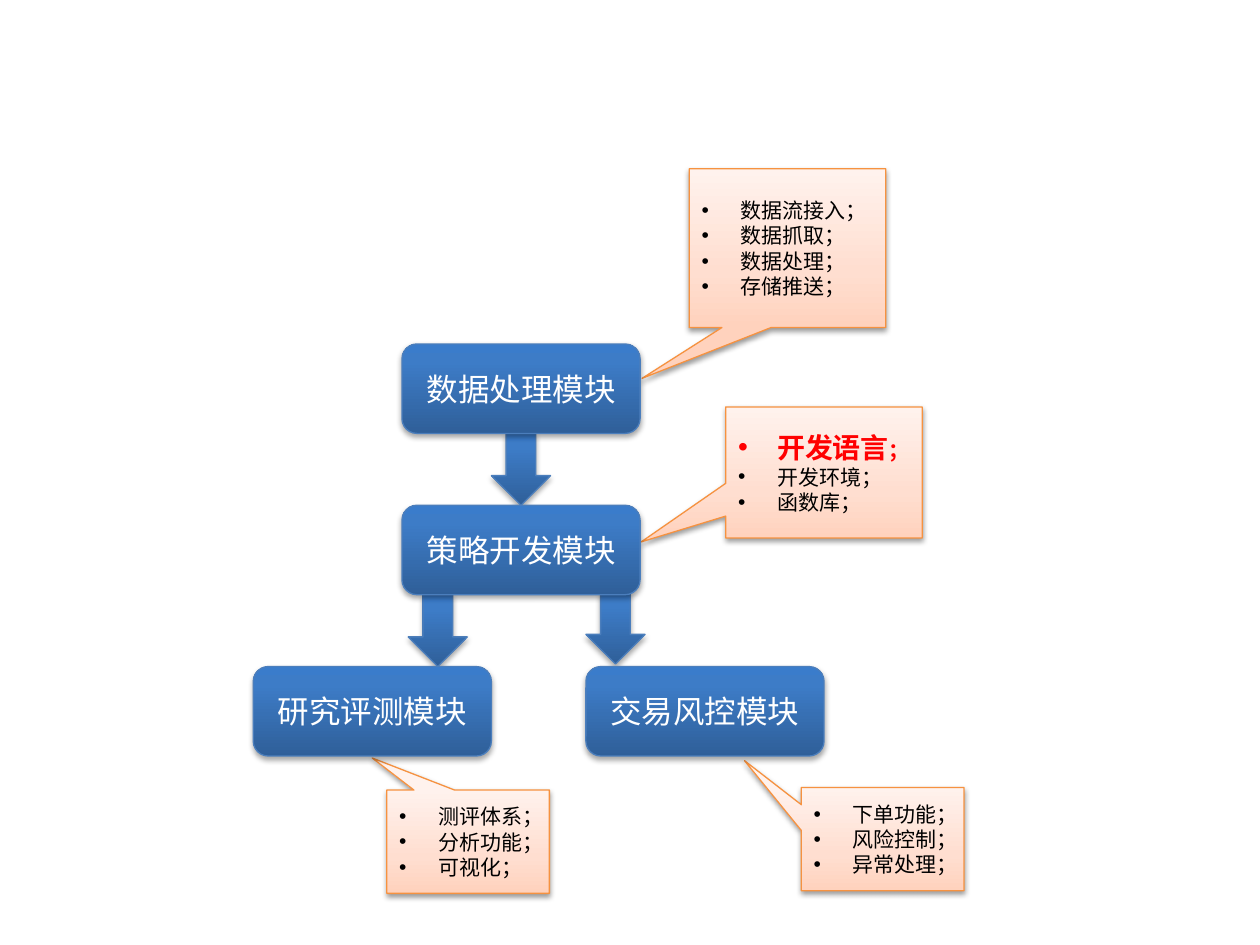
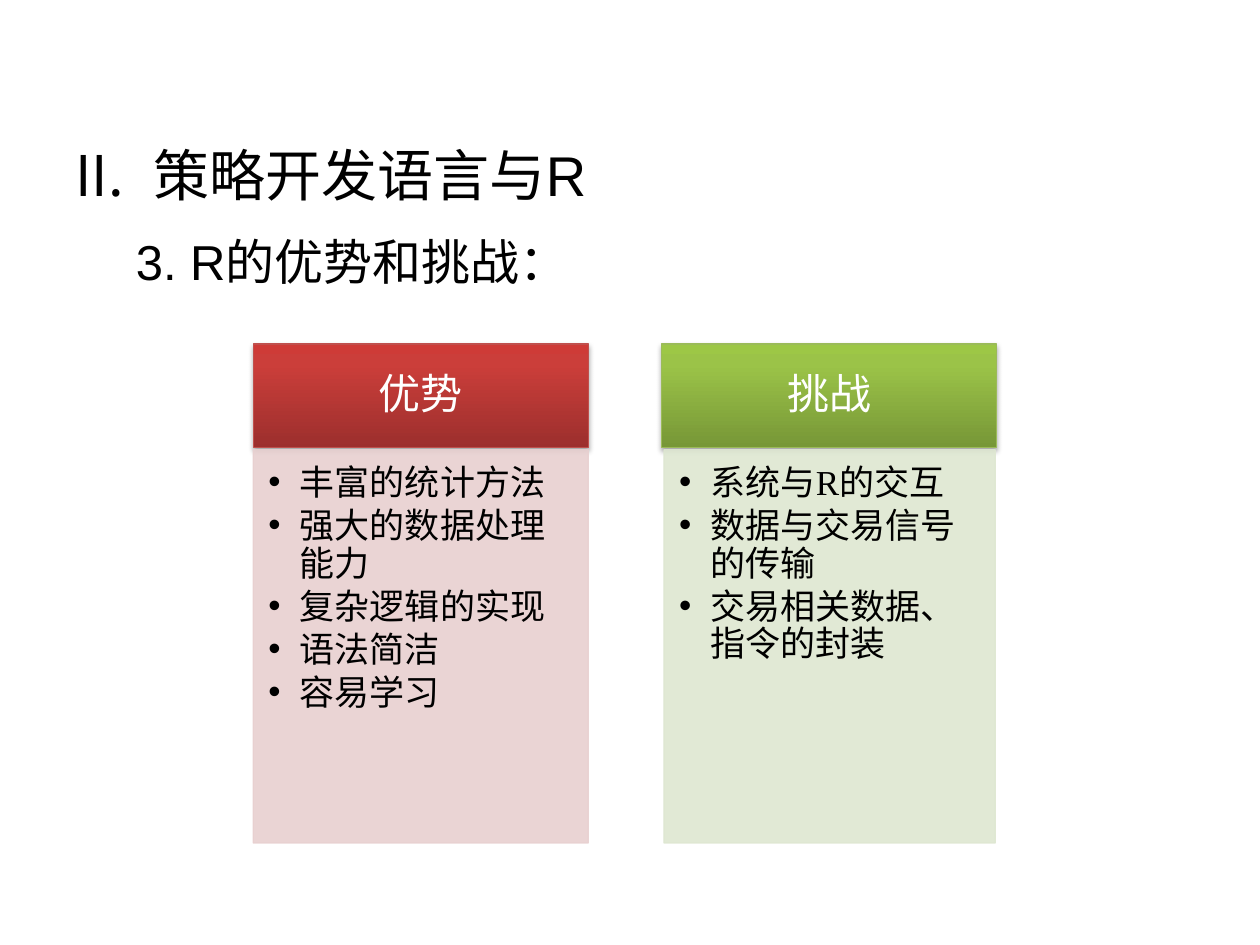
from copy import deepcopy
from dataclasses import dataclass
from typing import Any

from lxml.etree import SubElement
from pptx import Presentation
from pptx.dml.color import RGBColor
from pptx.enum.shapes import MSO_SHAPE
from pptx.enum.text import MSO_ANCHOR, PP_ALIGN
from pptx.oxml.ns import qn
from pptx.shapes.autoshape import Shape
from pptx.slide import Slide
from pptx.util import Pt

PX = 9144
SERIF, SANS = "Times New Roman", "Arial"
BLACK = RGBColor(0x00, 0x00, 0x00)
WHITE = RGBColor(0xFF, 0xFF, 0xFF)
RED = RGBColor(0xFF, 0x00, 0x00)
PINK = RGBColor(0xE8, 0xD0, 0xD0)
MINT = RGBColor(0xDE, 0xE7, 0xD1)


@dataclass(frozen=True)
class Box:
    x: int
    y: int
    w: int
    h: int


@dataclass(frozen=True)
class Look:
    stops: tuple[tuple[float, RGBColor], ...]
    edge: RGBColor
    drop: int
    shade: int


@dataclass(frozen=True)
class Note:
    box: Box
    tip: tuple[float, float]
    lines: tuple[str, ...]
    key: str = ""


@dataclass(frozen=True)
class Panel:
    head: Box
    body: Box
    look: Look
    tint: RGBColor
    title: str
    lines: tuple[str, ...]


def ramp(low: str, mid: str, high: str, edge: str, mark: float = 0.8,
         drop: int = 23000, shade: int = 35000) -> Look:
    low, mid, high, edge = map(RGBColor.from_string, (low, mid, high, edge))
    return Look(((0, low), (mark, mid), (1, high)), edge, drop, shade)


PEACH = ramp("FFD2BD", "FFDED0", "FFF2ED", "F69240", 0.35, 20000, 38000)
BLUE = ramp("2F5F99", "3D7CC7", "3A7CCB", "4B7EBC")
BRICK = ramp("9C2F2D", "CB3E3A", "CE3B37", "C0504D")
GREEN = ramp("779737", "9BC348", "9DC746", "9BBB59")

HEAD = {"size": Pt(24), "name": SERIF}
LABEL = {"size": Pt(18), "name": SERIF}
ITEM = {"size": Pt(12), "name": SERIF}
POINT = {"size": Pt(20), "name": SERIF}
MID = {"vertical_anchor": MSO_ANCHOR.MIDDLE, "word_wrap": True}
TOP = {"vertical_anchor": MSO_ANCHOR.TOP, "word_wrap": True}
INSET = {"margin_left": 12 * PX, "margin_top": 12 * PX,
         "margin_right": 16 * PX, "margin_bottom": 17 * PX}

NOTES = (
    Note(Box(547, 134, 156, 126), (-0.74, 0.82),
         ("数据流接入；", "数据抓取；", "数据处理；", "存储推送；")),
    Note(Box(576, 323, 156, 104), (-0.93, 0.53),
         ("开发语言；", "开发环境；", "函数库；"), "开发语言"),
    Note(Box(307, 627, 129, 82), (-0.59, -0.81),
         ("测评体系；", "分析功能；", "可视化；")),
    Note(Box(636, 625, 129, 82), (-0.85, -0.76),
         ("下单功能；", "风险控制；", "异常处理；")),
)
ARROWS = ((390, 344), (324, 472), (465, 470))
STEPS = ((201, 529, "研究评测模块"), (465, 529, "交易风控模块"),
         (319, 273, "数据处理模块"), (319, 401, "策略开发模块"))
PANELS = (
    Panel(Box(201, 273, 266, 82), Box(201, 357, 266, 312), BRICK, PINK, "优势",
          ("丰富的统计方法", "强大的数据处理能力", "复杂逻辑的实现", "语法简洁", "容易学习")),
    Panel(Box(525, 273, 266, 82), Box(527, 357, 263, 312), GREEN, MINT, "挑战",
          ("系统与R的交互", "数据与交易信号的传输", "交易相关数据、指令的封装")),
)


def apply(item: Any, form: dict[str, Any]) -> None:
    for key, val in form.items():
        setattr(item, key, val)


def place(box: Box) -> tuple[int, ...]:
    return tuple(n * PX for n in (box.x, box.y, box.w, box.h))


def draw(slide: Slide, kind: MSO_SHAPE, box: Box) -> Shape:
    shape = slide.shapes.add_shape(kind, *place(box))
    shape.shadow.inherit = False
    shape.line.width = Pt(0.75)
    return shape


def gloss(slide: Slide, kind: MSO_SHAPE, box: Box, look: Look) -> Shape:
    shape = draw(slide, kind, box)
    shape.line.color.rgb = look.edge
    shape.fill.gradient()
    shape.fill.gradient_angle = 90
    stops = shape._element.spPr.xpath(".//a:gsLst")[0]
    stops.append(deepcopy(stops[0]))
    for stop, (spot, tone) in zip(shape.fill.gradient_stops, look.stops):
        stop.position = spot
        stop.color.rgb = tone
    glow = SubElement(shape._element.spPr.find(qn("a:effectLst")), qn("a:outerShdw"),
                      blurRad="40000", dist=str(look.drop), dir="5400000", rotWithShape="0")
    tone = SubElement(glow, qn("a:srgbClr"), val="000000")
    SubElement(tone, qn("a:alpha"), val=str(look.shade))
    return shape


def pale(slide: Slide, box: Box, tint: RGBColor) -> Shape:
    shape = draw(slide, MSO_SHAPE.RECTANGLE, box)
    shape.fill.solid()
    shape.fill.fore_color.rgb = tint
    shape.line.color.rgb = tint
    for tone in shape._element.spPr.xpath(".//a:srgbClr"):
        SubElement(tone, qn("a:alpha"), val="90000")
    return shape


def add_run(para: Any, text: str, form: dict[str, Any], tone: RGBColor) -> None:
    run = para.add_run()
    run.text = text
    apply(run.font, form)
    run.font.color.rgb = tone


def indent(para: Any, gap: int, tag: str, **vals: str) -> None:
    props = para._p.get_or_add_pPr()
    props.set("marL", str(gap * PX))
    props.set("indent", str(-gap * PX))
    SubElement(props, qn("a:buFont"), typeface=SANS)
    SubElement(props, qn(tag), **vals)


def write(shape: Shape, lines: tuple[str, ...], form: dict[str, Any], tone: RGBColor,
          frame: dict[str, Any], layout: dict[str, Any], gap: int = 0, key: str = "") -> None:
    text = shape.text_frame
    apply(text, frame)
    for i, line in enumerate(lines):
        para = text.add_paragraph() if i else text.paragraphs[0]
        apply(para, layout)
        if gap:
            indent(para, gap, "a:buChar", char="•")
        if key and line.startswith(key):
            add_run(para, key, form | {"size": Pt(16), "bold": True}, RED)
            add_run(para, line.removeprefix(key), form | {"bold": True}, RED)
        else:
            add_run(para, line, form, tone)


def draw_flow(slide: Slide) -> None:
    for note in NOTES:
        shape = gloss(slide, MSO_SHAPE.RECTANGULAR_CALLOUT, note.box, PEACH)
        for i, val in enumerate(note.tip):
            shape.adjustments[i] = val
        write(shape, note.lines, ITEM, BLACK, MID, {"alignment": PP_ALIGN.LEFT}, 31, note.key)
    for x, y in ARROWS:
        gloss(slide, MSO_SHAPE.DOWN_ARROW, Box(x, y, 47, 57), BLUE)
    for x, y, name in STEPS:
        shape = gloss(slide, MSO_SHAPE.ROUNDED_RECTANGLE, Box(x, y, 189, 71), BLUE)
        write(shape, (name,), LABEL, WHITE, MID, {"alignment": PP_ALIGN.CENTER})


def draw_pair(slide: Slide) -> None:
    title = slide.shapes.add_textbox(*place(Box(50, 107, 900, 63)))
    write(title, ("策略开发语言与R",), {"size": Pt(32), "name": SANS}, BLACK, MID, {})
    indent(title.text_frame.paragraphs[0], 62, "a:buAutoNum", type="romanUcPeriod", startAt="2")
    topic = slide.shapes.add_textbox(*place(Box(98, 179, 819, 93)))
    write(topic, ("3. R的优势和挑战：",), {"size": Pt(28), "name": SANS}, BLACK, TOP, {})
    for panel in PANELS:
        head = gloss(slide, MSO_SHAPE.RECTANGLE, panel.head, panel.look)
        write(head, (panel.title,), HEAD, WHITE, MID,
              {"alignment": PP_ALIGN.CENTER, "line_spacing": 0.9})
        body = pale(slide, panel.body, panel.tint)
        write(body, panel.lines, POINT, BLACK, TOP | INSET,
              {"alignment": PP_ALIGN.LEFT, "line_spacing": 0.9, "space_after": Pt(3)}, 25)


def main() -> None:
    deck = Presentation()
    apply(deck, {"slide_width": 1000 * PX, "slide_height": 750 * PX})
    for paint in (draw_flow, draw_pair):
        paint(deck.slides.add_slide(deck.slide_layouts[6]))
    deck.save("out.pptx")


if __name__ == "__main__":
    main()
